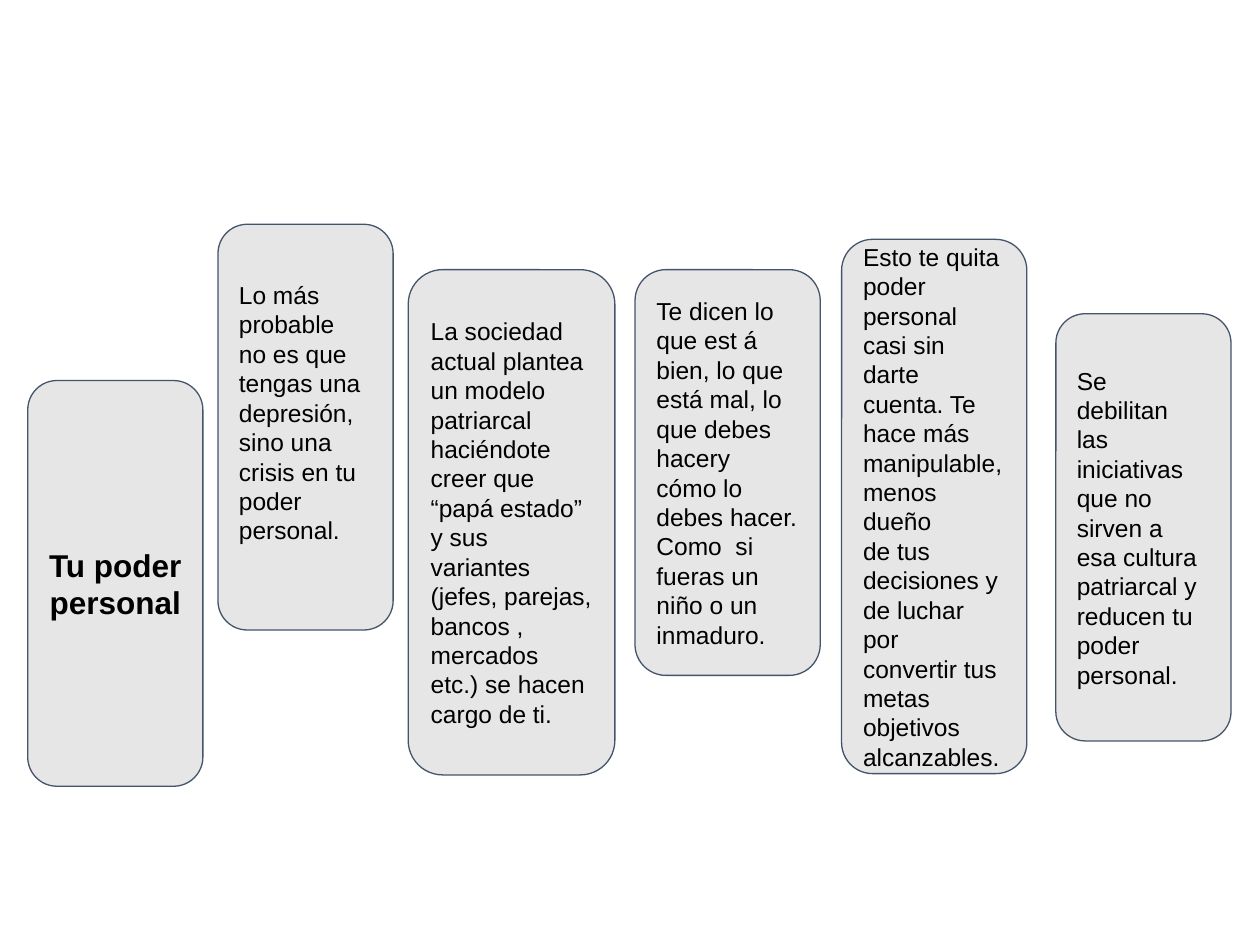
"""Build a slide of six rounded cards about personal power."""
from pptx import Presentation
from pptx import util as u
from pptx.dml.color import RGBColor
from pptx.enum import shapes, text

THEME = {
    "font": "Arial", "title_size": 18, "body_size": 14,
    "ink": RGBColor.from_string("000000"),
    "card": RGBColor.from_string("E7E6E6"),
    "outline": RGBColor.from_string("44546A"),
    "outline_width": 0.75, "inset": 7.2, "corner": 0.167,
}
SLIDE_SIZE = (720, 540)
TITLE = {"box": (15.84, 217.44, 100.08, 231.84), "lines": ["Tu poder personal"]}
CARDS = [
    {"box": (124.56, 128.16, 100.08, 231.84), "align": text.PP_ALIGN.JUSTIFY, "bottom": 24,
     "lines": ["Lo más", "probable", "no es que", "tengas una", "depresión,", "sino una",
               "crisis en tu", "poder", "personal."]},
    {"box": (233.28, 154.08, 118.08, 288.72),
     "lines": ["La sociedad", "actual plantea", "un modelo", "patriarcal haciéndote",
               "creer que “papá estado” y sus variantes (jefes, parejas, bancos , "
               "mercados etc.) se hacen cargo de ti."]},
    {"box": (362.88, 154.08, 105.84, 231.84),
     "lines": ["Te dicen lo", "que est á", "bien, lo que", "está mal, lo", "que debes", "hacery",
               "cómo lo", "debes hacer.", "Como  si", "fueras un", "niño o un", "inmaduro."]},
    {"box": (480.96, 136.8, 105.84, 305.28),
     "lines": ["Esto te quita", "poder personal", "casi sin darte", "cuenta. Te", "hace más",
               "manipulable,", "menos dueño", "de tus", "decisiones y", "de luchar por",
               "convertir tus", "metas", "objetivos", "alcanzables."]},
    {"box": (603.36, 179.28, 100.08, 244.08),
     "lines": ["Se", "debilitan", "las", "iniciativas", "que no", "sirven a", "esa cultura",
               "patriarcal y", "reducen tu", "poder", "personal."]},
]


def apply(target, values):
    for name, value in values.items():
        setattr(target, name, value)


def add_card(slide, box):
    shape = slide.shapes.add_shape(shapes.MSO_SHAPE.ROUNDED_RECTANGLE, *map(u.Pt, box))
    shape.adjustments[0] = THEME["corner"]
    shape.shadow.inherit = False
    shape.fill.solid()
    shape.fill.fore_color.rgb = THEME["card"]
    shape.line.color.rgb = THEME["outline"]
    shape.line.width = u.Pt(THEME["outline_width"])
    return shape


def write(shape, lines, size, align, bold=False, bottom=THEME["inset"]):
    frame = shape.text_frame
    inset = u.Pt(THEME["inset"])
    apply(frame, {"word_wrap": True, "auto_size": text.MSO_AUTO_SIZE.NONE,
                  "vertical_anchor": text.MSO_ANCHOR.MIDDLE, "margin_left": inset,
                  "margin_right": inset, "margin_top": inset, "margin_bottom": u.Pt(bottom)})
    frame.text = "\n".join(lines)
    for paragraph in frame.paragraphs:
        paragraph.alignment = align
        font = paragraph.runs[0].font
        apply(font, {"name": THEME["font"], "size": u.Pt(size), "bold": bold})
        font.color.rgb = THEME["ink"]


def main():
    presentation = Presentation()
    width, height = map(u.Pt, SLIDE_SIZE)
    apply(presentation, {"slide_width": width, "slide_height": height})
    slide = presentation.slides.add_slide(presentation.slide_layouts.get_by_name("Title Only"))

    title = slide.shapes.title
    title_card = add_card(slide, TITLE["box"])
    title_card._element.addnext(title._element)
    apply(title, dict(zip(("left", "top", "width", "height"), map(u.Pt, TITLE["box"]))))
    write(title, TITLE["lines"], THEME["title_size"], text.PP_ALIGN.CENTER, bold=True)

    for card in CARDS:
        write(add_card(slide, card["box"]), card["lines"], THEME["body_size"],
              card.get("align", text.PP_ALIGN.LEFT), bottom=card.get("bottom", THEME["inset"]))
    presentation.save("out.pptx")


if __name__ == "__main__":
    main()
